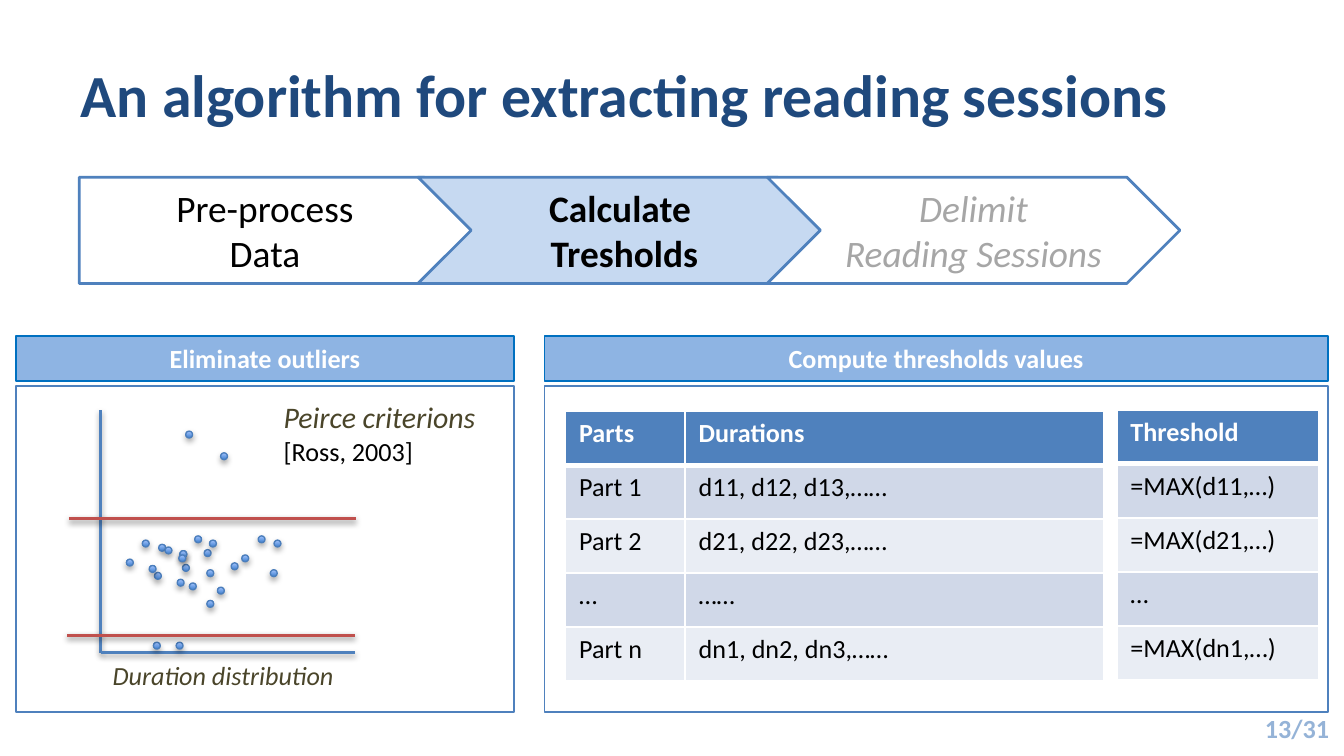
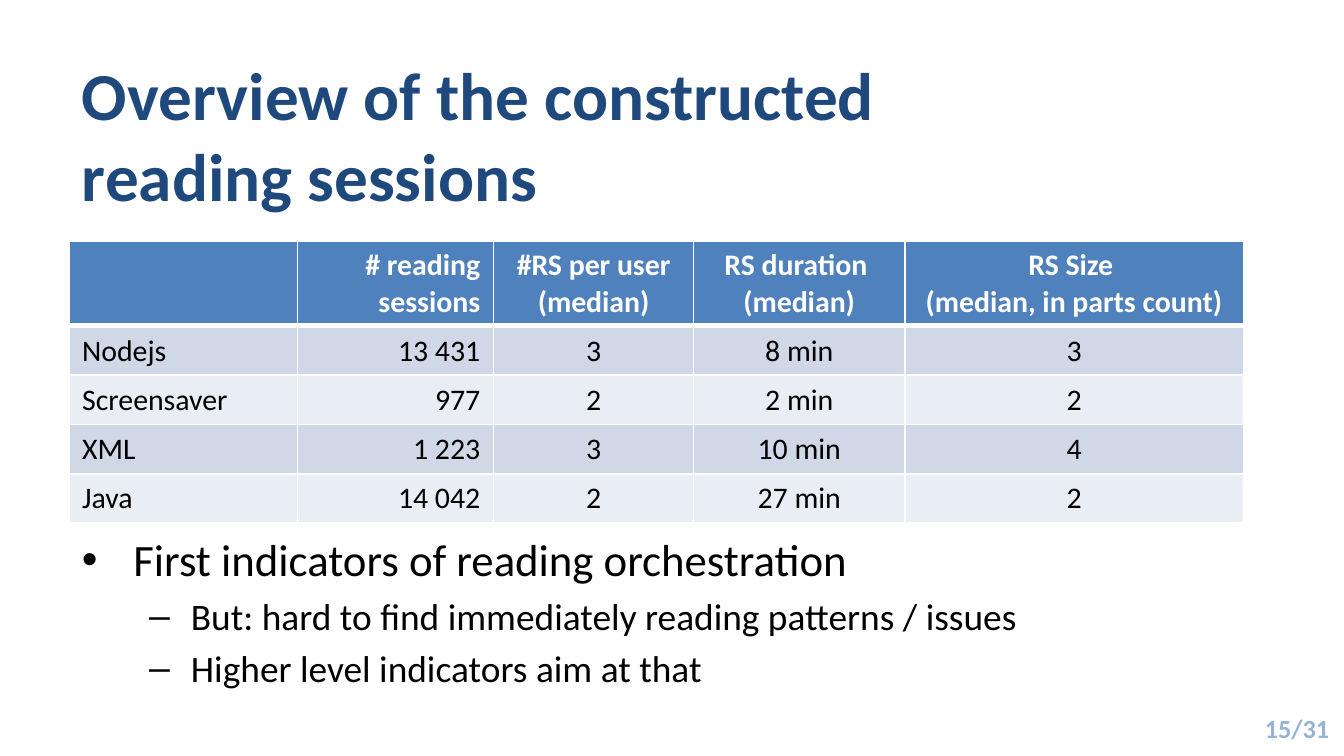
import pptx
import pptx.util
import pptx.dml.color
import pptx.enum.shapes
import pptx.enum.text
import pptx.oxml
import pptx.oxml.ns

Cm = pptx.util.Cm
Pt = pptx.util.Pt
RGBColor = pptx.dml.color.RGBColor
SHAPE = pptx.enum.shapes.MSO_SHAPE
ALIGN = pptx.enum.text.PP_ALIGN
ANCHOR = pptx.enum.text.MSO_ANCHOR

# Shared look
FONT = "Calibri"
BLACK = RGBColor(0x00, 0x00, 0x00)
WHITE = RGBColor(0xFF, 0xFF, 0xFF)
NAVY = RGBColor(0x1F, 0x49, 0x7D)
BLUE = RGBColor(0x4F, 0x81, 0xBD)
PALE_BLUE = RGBColor(0xC6, 0xD9, 0xF1)
PAGE_BLUE = RGBColor(0x95, 0xB3, 0xD7)
HEADER_FILL = RGBColor(0x8E, 0xB4, 0xE3)
HEADER_LINE = RGBColor(0x00, 0x70, 0xC0)
GREY = RGBColor(0xA6, 0xA6, 0xA6)
OLIVE = RGBColor(0x4A, 0x45, 0x2A)
RED = RGBColor(0xC0, 0x50, 0x4D)
DOT_DARK = RGBColor(0x3F, 0x80, 0xCE)
DOT_LIGHT = RGBColor(0xA4, 0xC4, 0xFF)
DOT_LINE = RGBColor(0x4B, 0x7E, 0xBC)
BANDS = (RGBColor(0xD0, 0xD8, 0xE8), RGBColor(0xE9, 0xED, 0xF4))
PAGE_COUNT = 31

# Positions of the measured durations, in cm
DOTS = [
    (3.0, 10.29), (2.92, 10.82), (3.58, 11.02), (3.45, 10.67), (4.37, 10.64),
    (3.86, 10.39), (4.11, 11.1), (3.4, 10.41), (3.91, 11.35), (2.69, 10.21),
    (2.39, 10.57), (3.51, 8.15), (4.17, 8.56), (2.9, 12.14), (3.33, 12.14),
    (3.4, 10.41), (3.35, 10.95), (3.12, 10.34), (2.82, 10.69), (3.96, 10.21),
    (3.91, 10.77), (3.68, 10.13), (3.38, 10.49), (5.18, 10.21), (5.11, 10.77),
    (4.88, 10.13), (4.57, 10.49),
]


def write(p, text, size=14, color=BLACK, bold=False, italic=False, align=None):
    """Add text to a paragraph; a newline becomes a line break."""
    if align is not None:
        p.alignment = align
    for i, line in enumerate(text.split("\n")):
        if i:
            p.add_line_break()
        r = p.add_run()
        r.text = line
        r.font.name = FONT
        r.font.size = Pt(size)
        r.font.bold = bold
        r.font.italic = italic
        r.font.color.rgb = color


def write_lines(tf, lines, **fmt):
    for i, line in enumerate(lines):
        p = tf.add_paragraph() if i else tf.paragraphs[0]
        write(p, line, **fmt)


def xml(tag, inner="", **attrs):
    listed = " ".join(f'{k}="{v}"' for k, v in attrs.items())
    ns = pptx.oxml.ns.nsdecls("a")
    return pptx.oxml.parse_xml(f"<a:{tag} {ns} {listed}>{inner}</a:{tag}>")


def add_shadow(sp, distance, percent):
    sp._element.spPr.append(xml("effectLst", (
        f'<a:outerShdw blurRad="{Pt(3.1)}" dist="{Pt(distance)}" dir="5400000" '
        f'rotWithShape="0"><a:srgbClr val="000000"><a:alpha val="{percent * 1000}"/>'
        '</a:srgbClr></a:outerShdw>')))


def add_text(s, x, y, w, h, text, anchor=ANCHOR.TOP, **fmt):
    tf = s.shapes.add_textbox(Cm(x), Cm(y), Cm(w), Cm(h)).text_frame
    tf.word_wrap = True
    tf.vertical_anchor = anchor
    write(tf.paragraphs[0], text, **fmt)
    return tf


def add_box(s, kind, x, y, w, h, fill=None, line=BLUE, width=1.0):
    sp = s.shapes.add_shape(kind, Cm(x), Cm(y), Cm(w), Cm(h))
    sp.shadow.inherit = False
    if fill is None:
        sp.fill.background()
    else:
        sp.fill.solid()
        sp.fill.fore_color.rgb = fill
    sp.line.color.rgb = line
    sp.line.width = Pt(width)
    return sp


def add_step(s, kind, x, w, lines, fill=None, **fmt):
    sp = add_box(s, kind, x, 3.35, w, 2.01, fill, width=1.5)
    sp.text_frame.vertical_anchor = ANCHOR.MIDDLE
    write_lines(sp.text_frame, lines, size=20, align=ALIGN.CENTER, **fmt)


def add_panel(s, x, w, heading):
    add_box(s, SHAPE.RECTANGLE, x, 7.3, w, 6.16, WHITE)
    sp = add_box(s, SHAPE.RECTANGLE, x, 6.35, w, 0.86, HEADER_FILL, HEADER_LINE)
    sp.text_frame.vertical_anchor = ANCHOR.TOP
    write(sp.text_frame.paragraphs[0], heading, color=WHITE, bold=True,
          align=ALIGN.CENTER)


def add_line(s, x1, y1, x2, y2, color, width):
    line = s.shapes.add_connector(pptx.enum.shapes.MSO_CONNECTOR.STRAIGHT,
                                  Cm(x1), Cm(y1), Cm(x2), Cm(y2))
    line.line.color.rgb = color
    line.line.width = Pt(width)
    add_shadow(line, 1.6, 38)


def add_dot(s, x, y):
    sp = s.shapes.add_shape(SHAPE.OVAL, Cm(x), Cm(y), Cm(0.13), Cm(0.13))
    sp.fill.gradient()
    sp.fill.gradient_angle = 90
    for stop, color in zip(sp.fill.gradient_stops, (DOT_DARK, DOT_LIGHT)):
        stop.color.rgb = color
    sp.line.color.rgb = DOT_LINE
    sp.line.width = Pt(0.75)
    add_shadow(sp, 1.8, 35)


def style_cell(cell, row):
    """White borders, heavier under the header, and banded fill."""
    widths = {"lnL": 1, "lnR": 1, "lnT": 1, "lnB": 1}
    if row == 0:
        widths["lnB"] = 3
    else:
        del widths["lnT"]
    tcPr = cell._tc.get_or_add_tcPr()
    for tag, width in widths.items():
        tcPr.append(xml(tag, f'<a:solidFill><a:srgbClr val="{WHITE}"/></a:solidFill>',
                        w=int(Pt(width))))
    cell.fill.solid()
    cell.fill.fore_color.rgb = BANDS[(row - 1) % 2] if row else BLUE


def add_table(s, x, y, cols, heights, rows, size=14, aligns=None):
    """Each cell is a string, or a tuple of paragraphs."""
    table = s.shapes.add_table(len(rows), len(cols), Cm(x), Cm(y),
                               Cm(sum(cols)), Cm(sum(heights))).table
    for column, width in zip(table.columns, cols):
        column.width = Cm(width)
    for i, row in enumerate(rows):
        table.rows[i].height = Cm(heights[i])
        for j, content in enumerate(row):
            cell = table.cell(i, j)
            style_cell(cell, i)
            lines = content if isinstance(content, tuple) else (content,)
            if content:
                write_lines(cell.text_frame, lines, size=size, bold=i == 0,
                            color=BLACK if i else WHITE,
                            align=aligns[j] if aligns else None)


def add_bullet(p, text, size, level, char, margin, hang):
    p.level = level
    p.space_before = Pt(size * 0.2)
    write(p, text, size=size)
    pPr = p._p.get_or_add_pPr()
    pPr.set("marL", str(Cm(margin)))
    pPr.set("indent", str(-Cm(hang)))
    pPr.append(xml("buFont", typeface="Arial"))
    pPr.append(xml("buChar", char=char))


def new_slide(prs, page, title, x, y, h, size):
    s = prs.slides.add_slide(prs.slide_layouts[6])
    tf = add_text(s, 21.31, 13.39, 3.81, 0.76, f"{page}/{PAGE_COUNT}",
                  ANCHOR.MIDDLE, color=PAGE_BLUE, bold=True, align=ALIGN.RIGHT)
    tf.margin_left = tf.margin_right = 0
    add_text(s, x, y, 22.86, h, title, ANCHOR.MIDDLE,
             size=size, color=NAVY, bold=True)
    return s


def algorithm_slide(prs):
    s = new_slide(prs, 13, "An algorithm for extracting reading sessions",
                  1.27, 0.58, 2.39, 32)

    # Process steps
    add_step(s, SHAPE.PENTAGON, 1.5, 7.52, ["Pre-process", "Data"])
    add_step(s, SHAPE.CHEVRON, 7.9, 7.8, ["Calculate ", "Tresholds"],
             PALE_BLUE, bold=True)
    add_step(s, SHAPE.CHEVRON, 14.5, 7.8, ["Delimit", "Reading Sessions"],
             WHITE, color=GREY, italic=True)

    add_panel(s, 10.29, 14.81, "Compute thresholds values")
    add_panel(s, 0.3, 9.42, "Eliminate outliers")

    # Duration scatter with its two limits
    add_line(s, 1.9, 7.75, 1.9, 12.34, BLUE, 1.5)
    add_line(s, 1.9, 12.34, 6.71, 12.34, BLUE, 1.5)
    for x, y in DOTS:
        add_dot(s, x, y)
    add_text(s, 1.88, 12.34, 6.22, 0.86, "Duration distribution",
             color=OLIVE, italic=True)
    add_line(s, 1.27, 12.01, 6.71, 12.01, RED, 2)
    add_line(s, 1.3, 9.8, 6.73, 9.8, RED, 2)
    tf = add_text(s, 5.11, 7.42, 4.39, 1.55, "Peirce criterions ",
                  size=16, color=OLIVE, italic=True)
    write(tf.paragraphs[0], "[Ross, 2003]")

    # Threshold tables
    heights = [1.02] * 5
    add_table(s, 10.69, 7.77, [2.26, 7.92], heights, [
        ("Parts", "Durations"),
        ("Part 1", "d11, d12, d13,……"),
        ("Part 2", "d21, d22, d23,……"),
        ("…", "……"),
        ("Part n", "dn1, dn2, dn3,……"),
    ])
    add_table(s, 21.11, 7.75, [3.81], heights, [
        ("Threshold",), ("=MAX(d11,…)",), ("=MAX(d21,…)",), ("…",), ("=MAX(dn1,…)",),
    ])


def overview_slide(prs):
    s = new_slide(prs, 15, "Overview of the constructed \nreading sessions",
                  1.3, 0.94, 3.2, 36)

    # Session figures
    add_table(s, 1.3, 4.55, [4.32, 3.71, 3.78, 3.99, 6.4], [1.61] + [0.93] * 4, [
        ("", "# reading sessions", "#RS per user (median)",
         ("RS duration ", "(median)"), "RS Size \n(median, in parts count)"),
        ("Nodejs", "13 431", "3", "8 min", "3"),
        ("Screensaver", "977", "2", "2 min", "2"),
        ("XML", "1 223", "3", "10 min", "4"),
        ("Java", "14 042", "2", "27 min", "2"),
    ], size=16, aligns=[ALIGN.LEFT, ALIGN.RIGHT] + [ALIGN.CENTER] * 3)

    # Findings
    tf = s.shapes.add_textbox(Cm(1.3), Cm(9.93), Cm(22), Cm(4.62)).text_frame
    tf.word_wrap = True
    add_bullet(tf.paragraphs[0], "First indicators of reading orchestration",
               24, 0, "•", 0.97, 0.97)
    for text in ("But: hard to find immediately reading patterns / issues",
                 "Higher level indicators aim at that"):
        add_bullet(tf.add_paragraph(), text, 20, 1, "–", 2.06, 0.79)


def main():
    prs = pptx.Presentation()
    prs.slide_width = Cm(25.4)
    prs.slide_height = Cm(14.29)
    algorithm_slide(prs)
    overview_slide(prs)
    prs.save("out.pptx")


if __name__ == "__main__":
    main()
